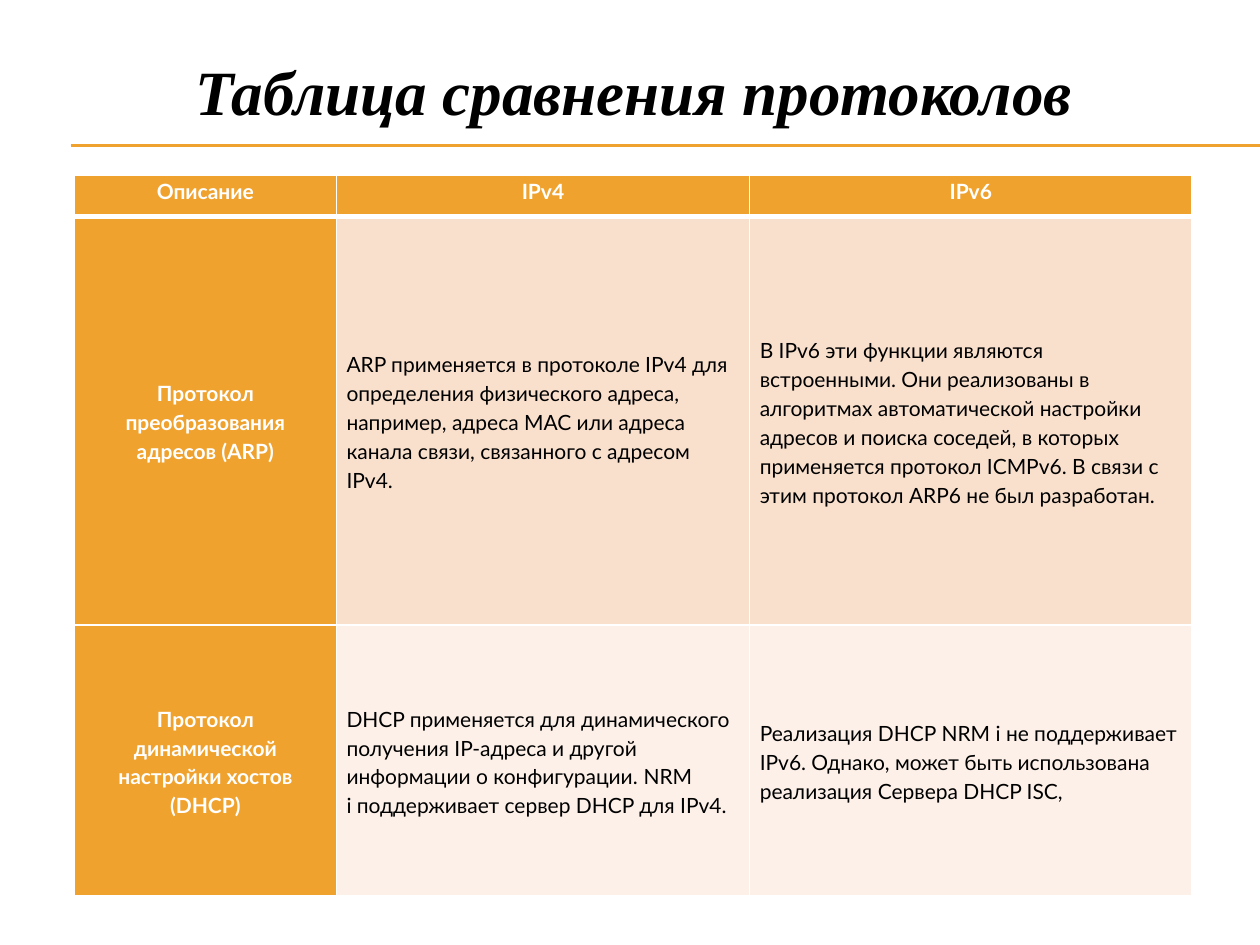
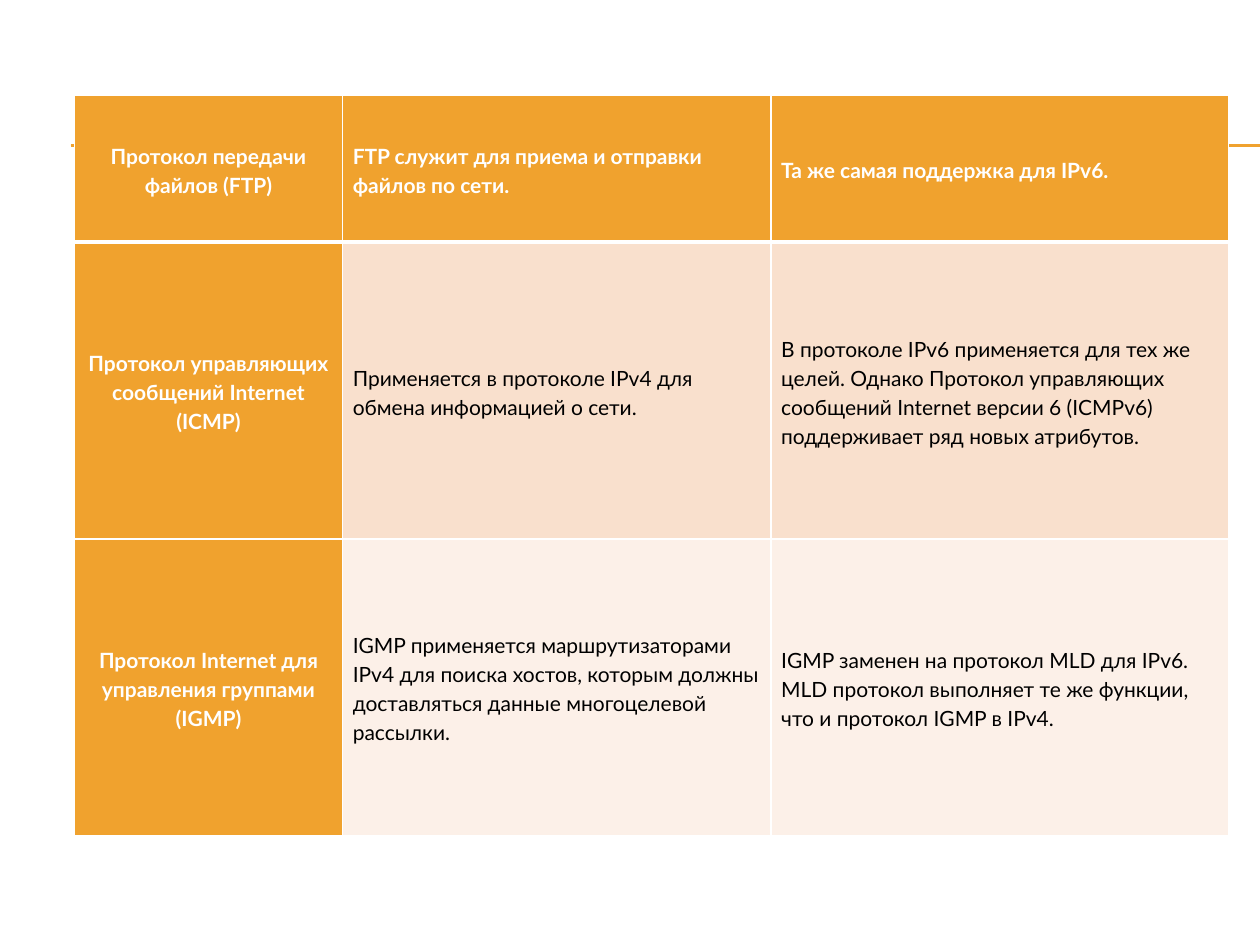
from lxml.etree import SubElement
from pptx import Presentation
from pptx.dml.color import RGBColor
from pptx.enum.shapes import MSO_CONNECTOR as Link
from pptx.enum.text import MSO_ANCHOR as Anchor, PP_ALIGN as Align
from pptx.oxml.ns import qn
from pptx.util import Inches, Pt

GOLD, WHITE, BLACK = "F0A22E", "FFFFFF", "000000"
BANDS = ["F9E0CD", "FCF0E8"]
SERIF, SANS = "Times New Roman", "Lato"
TITLE_ONLY, BLANK = 5, 6
TIE = chr(160)

BASICS = [
    ["Описание", "IPv4", "IPv6"],
    ["Протокол преобразования адресов (ARP)",
     "ARP применяется в протоколе IPv4 для определения физического адреса, "
     "например, адреса MAC или адреса канала связи, связанного с адресом IPv4.",
     "В IPv6 эти функции являются встроенными. Они реализованы в алгоритмах "
     "автоматической настройки адресов и поиска соседей, в которых применяется "
     "протокол ICMPv6. В связи с этим протокол ARP6 не был разработан."],
    ["Протокол динамической настройки хостов (DHCP)",
     "DHCP применяется для динамического получения IP-адреса и другой "
     f"информации о конфигурации.{TIE}NRM i{TIE}поддерживает сервер DHCP для IPv4.",
     f"Реализация DHCP{TIE}NRM i{TIE}не поддерживает IPv6. Однако, может быть "
     f"использована реализация{TIE}Сервера DHCP ISC,"],
]
SERVICES = [
    ["Протокол передачи файлов (FTP)",
     "FTP служит для приема и отправки файлов по сети.",
     "Та же самая поддержка для IPv6."],
    ["Протокол управляющих сообщений Internet (ICMP)",
     "Применяется в протоколе IPv4 для обмена информацией о сети.",
     "В протоколе IPv6 применяется для тех же целей. Однако Протокол "
     "управляющих сообщений Internet версии 6 (ICMPv6) поддерживает ряд "
     "новых атрибутов."],
    ["Протокол Internet для управления группами (IGMP)",
     "IGMP применяется маршрутизаторами IPv4 для поиска хостов, которым "
     "должны доставляться данные многоцелевой рассылки.",
     "IGMP заменен на протокол MLD для IPv6. MLD протокол выполняет те же "
     "функции, что и протокол IGMP в IPv4."],
]


def paint(target, color):
    target.solid()
    target.fore_color.rgb = RGBColor.from_string(color)


def style(part, font, size, color, bold=False, italic=False):
    for run in part.runs:
        run.font.name, run.font.size = font, Pt(size)
        run.font.bold, run.font.italic = bold, italic
        run.font.color.rgb = RGBColor.from_string(color)


def add_rules(slide, left, top, right):
    for y in (top, top + 0.01):
        rule = slide.shapes.add_connector(
            Link.STRAIGHT, Inches(left), Inches(y), Inches(right), Inches(y))
        rule.line.width = Pt(0.75)
        paint(rule.line.fill, GOLD)
        SubElement(rule._element.spPr, qn("a:effectLst"))


def add_title(slide, text, left, top, width, height):
    title = slide.shapes.title
    title.left, title.top = Inches(left), Inches(top)
    title.width, title.height = Inches(width), Inches(height)
    frame = title.text_frame
    frame.text = text
    frame.word_wrap = True
    frame.vertical_anchor = Anchor.MIDDLE
    part = frame.paragraphs[0]
    part.alignment = Align.CENTER
    style(part, SERIF, 36, BLACK, True, True)


def add_edges(cell, row):
    props = cell._tc.get_or_add_tcPr()
    heavy = {"T": row == 1, "B": row == 0}
    for side in "LRTB":
        width = Pt(3 if heavy.get(side) else 1)
        edge = SubElement(props, qn("a:ln" + side), w=str(width))
        fill = SubElement(edge, qn("a:solidFill"))
        SubElement(fill, qn("a:srgbClr"), val=WHITE)


def fill_cell(cell, text, row, col, labels):
    strong = row == 0 or col == 0
    add_edges(cell, row)
    paint(cell.fill, GOLD if strong else BANDS[(row - 1) % 2])
    cell.margin_left = cell.margin_right = Inches(0.08)
    cell.margin_top = cell.margin_bottom = 0
    heading = labels and row == 0
    cell.vertical_anchor = Anchor.TOP if heading else Anchor.MIDDLE
    cell.text_frame.text = text
    part = cell.text_frame.paragraphs[0]
    part.alignment = Align.CENTER if col == 0 or heading else Align.LEFT
    part.line_spacing = 1.15
    style(part, SANS, 12, WHITE if strong else BLACK, strong)


def add_grid(slide, texts, left, top, widths, heights, labels=False):
    grid = slide.shapes.add_table(
        len(heights), len(widths), Inches(left), Inches(top),
        Inches(sum(widths)), Inches(sum(heights))).table
    for col, width in zip(grid.columns, widths):
        col.width = Inches(width)
    for row, height in zip(grid.rows, heights):
        row.height = Inches(height)
    for r, line in enumerate(texts):
        for c, text in enumerate(line):
            fill_cell(grid.cell(r, c), text, r, c, labels)


def add_page(deck, layout):
    slide = deck.slides.add_slide(deck.slide_layouts[layout])
    paint(slide.background.fill, WHITE)
    add_rules(slide, 0.56, 1.15, 10)
    return slide


def main():
    deck = Presentation()
    deck.slide_width, deck.slide_height = Inches(10), Inches(7.5)

    first = add_page(deck, TITLE_ONLY)
    add_title(first, "Таблица сравнения протоколов", 0.28, 0.32, 9.5, 0.79)
    add_grid(first, BASICS, 0.59, 1.39,
             [2.08, 3.28, 3.51], [0.33, 3.24, 2.15], labels=True)

    second = add_page(deck, BLANK)
    add_grid(second, SERVICES, 0.59, 0.76,
             [2.13, 3.4, 3.63], [1.16, 2.36, 2.35])

    deck.save("out.pptx")


if __name__ == "__main__":
    main()
